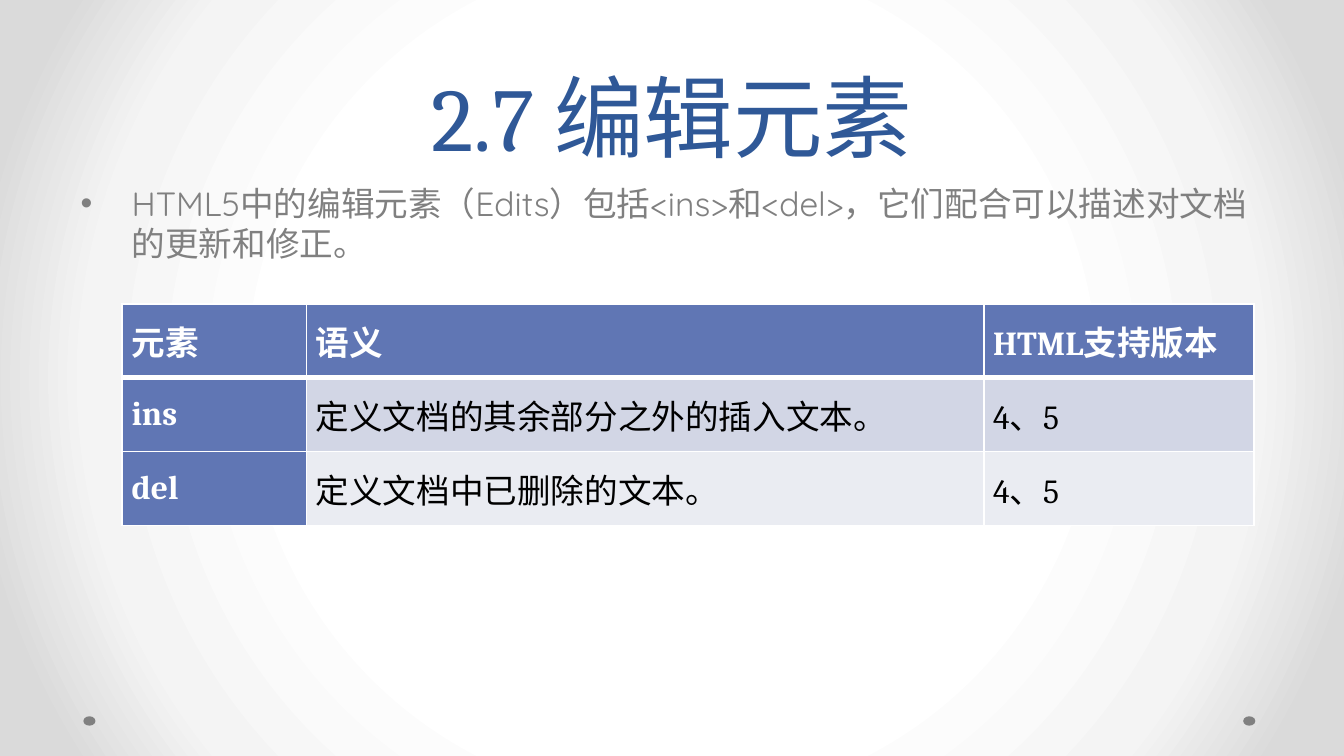
"""Build the slide on HTML editing elements."""
from dataclasses import dataclass

from pptx import Presentation
from pptx.dml.color import RGBColor
from pptx.enum.shapes import MSO_SHAPE
from pptx.enum.text import MSO_ANCHOR, MSO_AUTO_SIZE, PP_ALIGN
from pptx.oxml import parse_xml
from pptx.oxml.ns import nsdecls
from pptx.util import Inches, Pt

TITLE = "2.7 编辑元素"
BODY = "HTML5中的编辑元素（Edits）包括<ins>和<del>，它们配合可以描述对文档的更新和修正。"
ROWS = [
    ("元素", "语义", "HTML支持版本"),
    ("ins", "定义文档的其余部分之外的插入文本。", "4、5"),
    ("del", "定义文档中已删除的文本。", "4、5"),
]
COLUMN_WIDTHS = (1.37, 5.04, 2.01)
ROW_HEIGHT = 0.55
DOT_LEFTS = (0.62, 9.25)
BACKGROUND_STOPS = [(50, "FFFFFF"), (76, "F4F4F4"), (92, "DADADA")]


@dataclass(frozen=True)
class Theme:
    heading_font: str = "Cambria"
    body_font: str = "Quicksand"
    title_size: int = 48
    title_leading: int = 58
    text_size: int = 18
    title: str = "2F5897"
    muted: str = "808080"
    accent: str = "6076B4"
    bands: tuple = ("D2D6E5", "EAECF2")
    light: str = "FFFFFF"
    dark: str = "000000"


theme = Theme()


def place(shape, left, top, width, height):
    shape.left, shape.top = Inches(left), Inches(top)
    shape.width, shape.height = Inches(width), Inches(height)


def write(para, text, font, size, color, bold=False):
    span = para.add_run()
    span.text = text
    span.font.name, span.font.size, span.font.bold = font, Pt(size), bold
    span.font.color.rgb = RGBColor.from_string(color)


def fill_solid(fill, color):
    fill.solid()
    fill.fore_color.rgb = RGBColor.from_string(color)


def set_background(slide):
    stops = "".join(
        f'<a:gs pos="{percent * 1000}"><a:srgbClr val="{color}"/></a:gs>'
        for percent, color in BACKGROUND_STOPS
    )
    slide.element.cSld.insert(0, parse_xml(
        f'<p:bg {nsdecls("p", "a")}><p:bgPr><a:gradFill rotWithShape="1">'
        f'<a:gsLst>{stops}</a:gsLst><a:path path="circle">'
        '<a:fillToRect l="50000" t="50000" r="50000" b="50000"/></a:path>'
        '</a:gradFill><a:effectLst/></p:bgPr></p:bg>'
    ))


def set_borders(cell, top, bottom):
    widths = (("L", 1), ("R", 1), ("T", top), ("B", bottom))
    for position, (side, width) in enumerate(widths):
        cell._tc.get_or_add_tcPr().insert(position, parse_xml(
            f'<a:ln{side} {nsdecls("a")} w="{Pt(width)}"><a:solidFill>'
            f'<a:srgbClr val="{theme.light}"/></a:solidFill></a:ln{side}>'
        ))


def add_dots(slide):
    for left in DOT_LEFTS:
        dot = slide.shapes.add_shape(
            MSO_SHAPE.OVAL, Inches(left), Inches(5.33), Inches(0.09), Inches(0.07)
        )
        fill_solid(dot.fill, theme.muted)
        dot.line.fill.background()
        dot.shadow.inherit = False


def add_title(slide):
    box = slide.shapes.title
    place(box, 0.5, 0, 9, 1.31)
    box.text_frame.auto_size = MSO_AUTO_SIZE.NONE
    box.text_frame.vertical_anchor = MSO_ANCHOR.BOTTOM
    para = box.text_frame.paragraphs[0]
    para.alignment = PP_ALIGN.CENTER
    para.line_spacing = Pt(theme.title_leading)
    write(para, TITLE, theme.heading_font, theme.title_size, theme.title)


def add_body(slide):
    box = slide.placeholders[1]
    place(box, 0.5, 1.31, 9, 0.79)
    box.text_frame.auto_size = MSO_AUTO_SIZE.NONE
    para = box.text_frame.paragraphs[0]
    properties = para._p.get_or_add_pPr()
    properties.set("marL", str(Inches(0.38)))
    properties.set("indent", str(Inches(-0.38)))
    properties.append(parse_xml(f'<a:buChar {nsdecls("a")} char="•"/>'))
    write(para, BODY, theme.body_font, theme.text_size, theme.muted)


def add_elements_table(slide):
    table = slide.shapes.add_table(
        len(ROWS), len(COLUMN_WIDTHS), Inches(0.91), Inches(2.26),
        Inches(sum(COLUMN_WIDTHS)), Inches(ROW_HEIGHT * len(ROWS)),
    ).table
    table.first_col = True
    for column, width in zip(table.columns, COLUMN_WIDTHS):
        column.width = Inches(width)
    for row_index, texts in enumerate(ROWS):
        table.rows[row_index].height = Inches(ROW_HEIGHT)
        for column_index, text in enumerate(texts):
            cell = table.cell(row_index, column_index)
            heading = row_index == 0 or column_index == 0
            cell.vertical_anchor = MSO_ANCHOR.MIDDLE
            cell.margin_left = cell.margin_right = Inches(0.07)
            cell.margin_top = cell.margin_bottom = 0
            fill_solid(cell.fill, theme.accent if heading else theme.bands[row_index - 1])
            set_borders(cell, 3 if row_index == 1 else 1, 3 if row_index == 0 else 1)
            write(cell.text_frame.paragraphs[0], text, theme.heading_font,
                  theme.text_size, theme.light if heading else theme.dark, heading)


deck = Presentation()
deck.slide_width = Inches(10)
deck.slide_height = deck.slide_width * 9 // 16
page = deck.slides.add_slide(deck.slide_layouts[1])
set_background(page)
add_dots(page)
add_title(page)
add_body(page)
add_elements_table(page)
deck.save("out.pptx")
